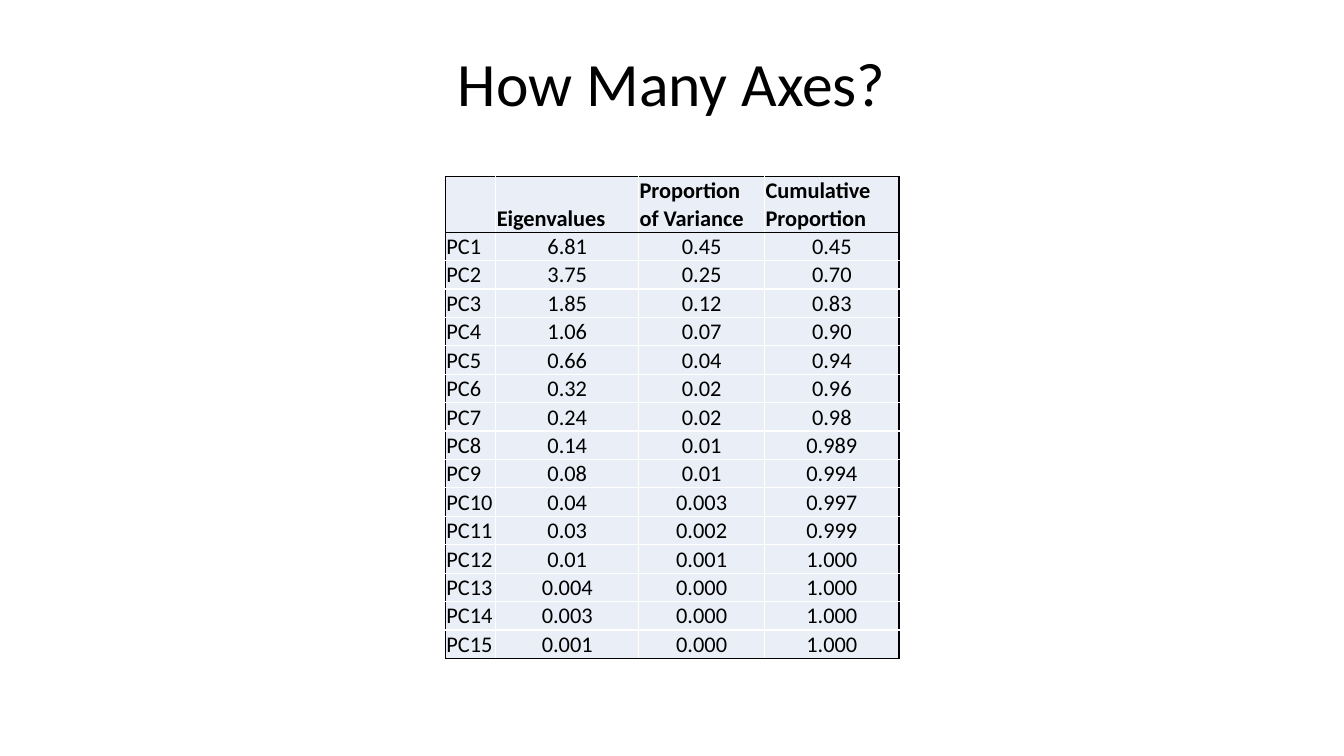
"""Build a slide with a table of eigenvalues and explained variance for 15 axes."""
from dataclasses import dataclass
from lxml.etree import SubElement
from pptx import Presentation
from pptx.dml.color import RGBColor
from pptx.enum.text import MSO_ANCHOR, PP_ALIGN
from pptx.oxml.ns import qn
from pptx.util import Pt


@dataclass
class Theme:
    font: str = "Calibri"
    ink: str = "000000"
    grid: str = "FFFFFF"
    fill: str = "EAEFF7"
    title: int = 44
    body: int = 16


theme = Theme()


def style(para, size, bold, align):
    para.alignment = align
    font = para.font
    font.name, font.size, font.bold = theme.font, Pt(size), bold
    font.color.rgb = RGBColor.from_string(theme.ink)


def border(cell, side, color):
    line = SubElement(cell._tc.get_or_add_tcPr(), qn(f"a:ln{side}"), w=str(Pt(1)))
    paint = SubElement(line, qn("a:solidFill"))
    SubElement(paint, qn("a:srgbClr"), val=color)


heads = ["", "Eigenvalues", "Proportion of Variance", "Cumulative Proportion"]
data = [
    ("6.81", "0.45", "0.45"),
    ("3.75", "0.25", "0.70"),
    ("1.85", "0.12", "0.83"),
    ("1.06", "0.07", "0.90"),
    ("0.66", "0.04", "0.94"),
    ("0.32", "0.02", "0.96"),
    ("0.24", "0.02", "0.98"),
    ("0.14", "0.01", "0.989"),
    ("0.08", "0.01", "0.994"),
    ("0.04", "0.003", "0.997"),
    ("0.03", "0.002", "0.999"),
    ("0.01", "0.001", "1.000"),
    ("0.004", "0.000", "1.000"),
    ("0.003", "0.000", "1.000"),
    ("0.001", "0.000", "1.000"),
]
rows = [heads] + [[f"PC{n}", *vals] for n, vals in enumerate(data, 1)]
widths = [36, 102, 90, 96]
heights = [39.8] + [20.3] * len(data)

deck = Presentation()
deck.slide_width, deck.slide_height = Pt(960), Pt(540)
slide = deck.slides.add_slide(deck.slide_layouts[5])

title = slide.shapes.title
title.left, title.top, title.width, title.height = Pt(66), Pt(9.4), Pt(828), Pt(104.4)
title.text_frame.text = "How Many Axes?"
title.text_frame.vertical_anchor = MSO_ANCHOR.MIDDLE
para = title.text_frame.paragraphs[0]
style(para, theme.title, False, PP_ALIGN.CENTER)
para.line_spacing = 0.9

frame = slide.shapes.add_table(len(rows), len(widths), Pt(318.2), Pt(126),
                               Pt(sum(widths)), Pt(sum(heights)))
table = frame.table
table.horz_banding = False
for col, width in zip(table.columns, widths):
    col.width = Pt(width)
for row, height in zip(table.rows, heights):
    row.height = Pt(height)

last_row, last_col = len(rows) - 1, len(widths) - 1
for r, texts in enumerate(rows):
    for c, text in enumerate(texts):
        cell = table.cell(r, c)
        cell.text = text
        cell.vertical_anchor = MSO_ANCHOR.BOTTOM
        cell.margin_left = cell.margin_right = cell.margin_top = Pt(0.7)
        cell.margin_bottom = Pt(0)
        align = PP_ALIGN.CENTER if r and c else PP_ALIGN.LEFT
        style(cell.text_frame.paragraphs[0], theme.body, r == 0, align)
        dark = {"L": c == 0, "R": c == last_col,
                "T": r in (0, 1), "B": r in (0, last_row)}
        for side, on in dark.items():
            border(cell, side, theme.ink if on else theme.grid)
        cell.fill.solid()
        cell.fill.fore_color.rgb = RGBColor.from_string(theme.fill)

deck.save("out.pptx")
